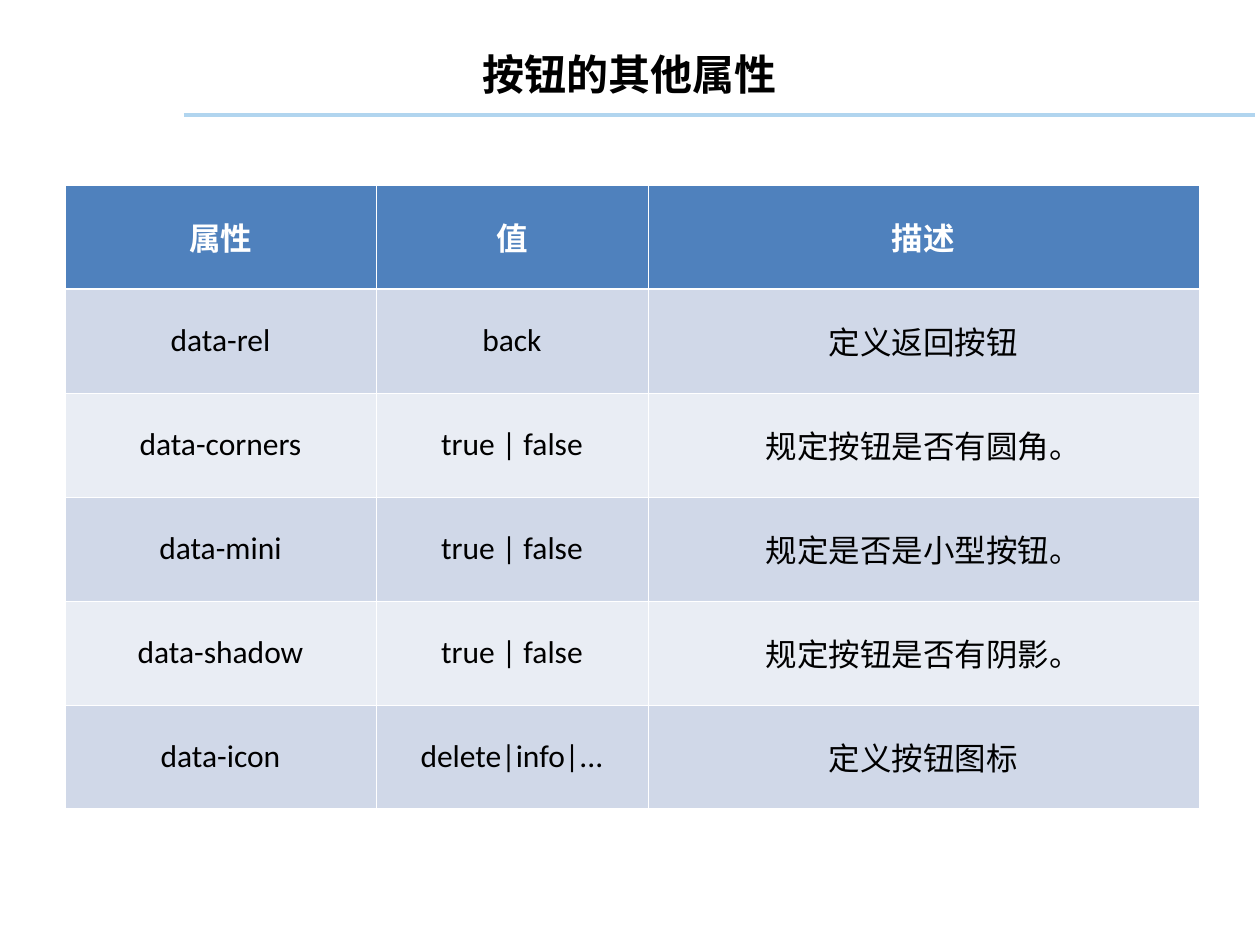
from pptx import Presentation
from pptx.dml.color import RGBColor
from pptx.enum.shapes import MSO_CONNECTOR
from pptx.enum.text import MSO_ANCHOR, MSO_AUTO_SIZE, PP_ALIGN
from pptx.oxml import parse_xml
from pptx.oxml.ns import nsdecls
from pptx.util import Emu, Pt

STRAIGHT = MSO_CONNECTOR.STRAIGHT
MIDDLE = MSO_ANCHOR.MIDDLE
CENTER = PP_ALIGN.CENTER
NO_FIT = MSO_AUTO_SIZE.NONE

SCALE = 914400 / 126
FONT = "Calibri"
COLORS = {
    "text": "000000",
    "white": "FFFFFF",
    "rule": "B1D5EF",
    "head": "4F81BD",
    "odd": "D0D8E8",
    "even": "E9EDF4",
}
TITLE = "按钮的其他属性"
ROWS = [
    ("属性", "值", "描述"),
    ("data-rel", "back", "定义返回按钮"),
    ("data-corners", "true | false", "规定按钮是否有圆角。"),
    ("data-mini", "true | false", "规定是否是小型按钮。"),
    ("data-shadow", "true | false", "规定按钮是否有阴影。"),
    ("data-icon", "delete|info|...", "定义按钮图标"),
]
WIDTHS = (311, 272, 551)
HEIGHT = 104
THIN, THICK = 0.45, 1.47


def px(count):
    return Emu(round(count * SCALE))


def color(name):
    return RGBColor.from_string(COLORS[name])


def put_text(frame, text, size, shade, bold):
    """Write one centred paragraph into a shape or cell text frame."""
    frame.text = text
    para = frame.paragraphs[0]
    para.alignment = CENTER
    form = {"name": FONT, "size": Pt(size), "bold": bold}
    for key, value in form.items():
        setattr(para.runs[0].font, key, value)
    para.runs[0].font.color.rgb = color(shade)


def add_title(slide):
    title = slide.shapes.title
    box = {"left": 63, "top": 32, "width": 1134, "height": 83}
    for key, value in box.items():
        setattr(title, key, px(value))
    frame = title.text_frame
    frame.auto_size = NO_FIT
    frame.vertical_anchor = MIDDLE
    put_text(frame, TITLE, 24, "text", True)


def add_rule(slide):
    ends = [px(n) for n in (184, 115, 1255, 115)]
    rule = slide.shapes.add_connector(STRAIGHT, *ends)
    rule.line.color.rgb = color("rule")
    rule.line.width = Pt(2)
    rule._element.spPr.append(parse_xml(f"<a:effectLst {nsdecls('a')}/>"))


def set_edges(cell, row):
    """Draw white cell borders, thicker between header and body."""
    edges = {
        "lnL": THIN,
        "lnR": THIN,
        "lnT": THICK if row == 1 else THIN,
        "lnB": THICK if row == 0 else THIN,
    }
    props = cell._tc.get_or_add_tcPr()
    for place, (tag, width) in enumerate(edges.items()):
        props.insert(place, parse_xml(
            f'<a:{tag} {nsdecls("a")} w="{Pt(width)}"><a:solidFill>'
            f'<a:srgbClr val="{COLORS["white"]}"/></a:solidFill></a:{tag}>'))


def fill_cell(cell, text, row):
    head = row == 0
    fill = "head" if head else "odd" if row % 2 else "even"
    cell.fill.solid()
    cell.fill.fore_color.rgb = color(fill)
    cell.vertical_anchor = MIDDLE
    put_text(cell.text_frame, text, 18, "white" if head else "text", head)
    set_edges(cell, row)


def add_grid(slide):
    size = (sum(WIDTHS), HEIGHT * len(ROWS))
    box = [px(n) for n in (65, 185, *size)]
    table = slide.shapes.add_table(len(ROWS), len(WIDTHS), *box).table
    for column, width in zip(table.columns, WIDTHS):
        column.width = px(width)
    for row, texts in enumerate(ROWS):
        table.rows[row].height = px(HEIGHT)
        for col, text in enumerate(texts):
            fill_cell(table.cell(row, col), text, row)


def main():
    deck = Presentation()
    deck.slide_width, deck.slide_height = px(1260), px(945)
    slide = deck.slides.add_slide(deck.slide_layouts[5])
    add_rule(slide)
    add_title(slide)
    add_grid(slide)
    deck.save("out.pptx")


if __name__ == "__main__":
    main()
